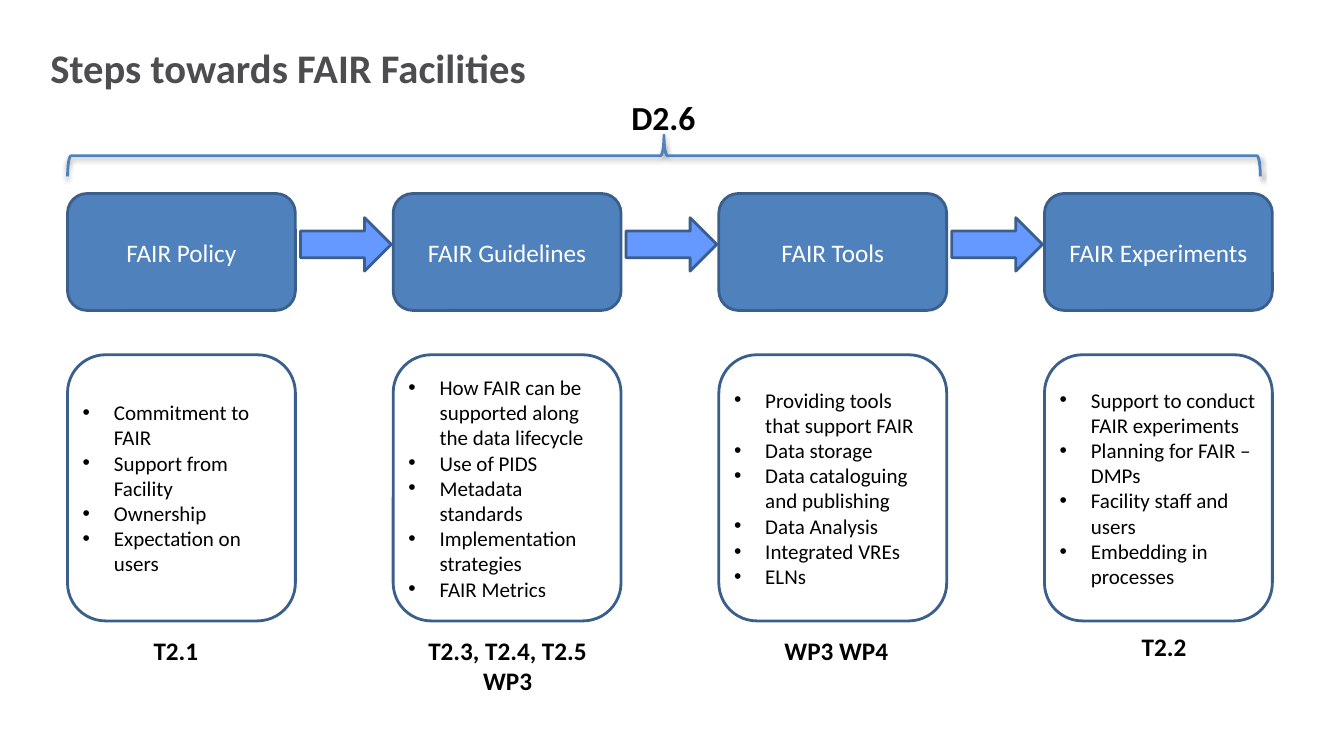
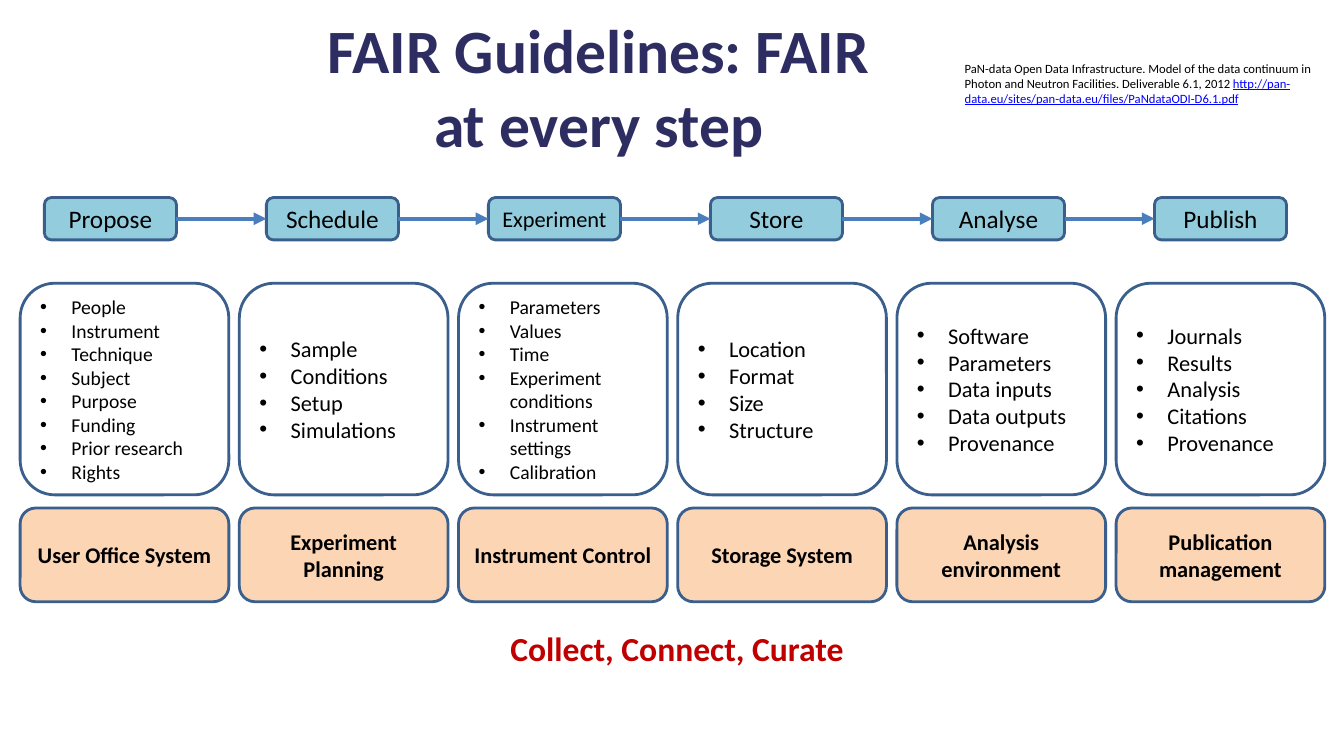
"""Build two slides on the steps towards FAIR facilities and FAIR guidelines."""
from itertools import pairwise

from lxml import etree
from pptx import Presentation
from pptx.dml.color import RGBColor
from pptx.enum.shapes import MSO_CONNECTOR, MSO_SHAPE
from pptx.enum.text import MSO_ANCHOR, MSO_AUTO_SIZE, PP_ALIGN
from pptx.oxml.ns import qn
from pptx.util import Inches, Pt

FONT = "Calibri"
BLACK = RGBColor(0x00, 0x00, 0x00)
WHITE = RGBColor(0xFF, 0xFF, 0xFF)
GREY = RGBColor(0x4C, 0x4D, 0x4F)
NAVY = RGBColor(0x2E, 0x2D, 0x62)
RED = RGBColor(0xC0, 0x00, 0x00)
LINK_BLUE = RGBColor(0x00, 0x00, 0xFF)
OUTLINE = RGBColor(0x3A, 0x5F, 0x8C)
STEP_BLUE = RGBColor(0x4F, 0x81, 0xBD)
ARROW_BLUE = RGBColor(0x66, 0x99, 0xFF)
CONNECTOR_BLUE = RGBColor(0x4B, 0x7E, 0xBC)
STAGE_AQUA = RGBColor(0x93, 0xCD, 0xDD)
SYSTEM_PEACH = RGBColor(0xFC, 0xD5, 0xB5)

STEPS_TITLE = "Steps towards FAIR Facilities"
DELIVERABLE = "D2.6"
STEPS = [
    ("FAIR Policy",
     ["Commitment to FAIR", "Support from Facility", "Ownership", "Expectation on users"],
     ["T2.1"], (1.28, 6.25, 0.93, 0.4)),
    ("FAIR Guidelines",
     ["How FAIR can be supported along the data lifecycle", "Use of PIDS",
      "Metadata standards", "Implementation strategies", "FAIR Metrics"],
     ["T2.3, T2.4, T2.5", "WP3"], (3.97, 6.25, 2.13, 0.71)),
    ("FAIR Tools",
     ["Providing tools that support FAIR", "Data storage",
      "Data cataloguing and publishing", "Data Analysis", "Integrated VREs", "ELNs"],
     ["WP3 WP4"], (7.48, 6.25, 1.63, 0.4)),
    ("FAIR Experiments",
     ["Support to conduct FAIR experiments", "Planning for FAIR – DMPs",
      "Facility staff and users", "Embedding in processes"],
     ["T2.2"], (10.93, 6.21, 1.23, 0.4)),
]

GUIDELINES_TITLE = "FAIR Guidelines: FAIR at every step"
CITATION = ("PaN-data Open Data Infrastructure. Model of the data continuum in "
            "Photon and Neutron Facilities. Deliverable 6.1, 2012 ")
CITATION_URL = "http://pan-data.eu/sites/pan-data.eu/files/PaNdataODI-D6.1.pdf"
MOTTO = "Collect, Connect, Curate"
STAGES = [
    ("Propose", 18, "User Office System", 14,
     ["People", "Instrument", "Technique", "Subject", "Purpose", "Funding",
      "Prior research", "Rights"]),
    ("Schedule", 18, "Experiment Planning", 16,
     ["Sample", "Conditions", "Setup", "Simulations"]),
    ("Experiment", 16, "Instrument Control", 14,
     ["Parameters", "Values", "Time", "Experiment conditions", "Instrument settings",
      "Calibration"]),
    ("Store", 18, "Storage System", 16,
     ["Location", "Format", "Size", "Structure"]),
    ("Analyse", 18, "Analysis environment", 16,
     ["Software", "Parameters", "Data inputs", "Data outputs", "Provenance"]),
    ("Publish", 18, "Publication management", 16,
     ["Journals", "Results", "Analysis", "Citations", "Provenance"]),
]


def add_run(paragraph, text, size, color, bold=False, underline=None):
    run = paragraph.add_run()
    run.text = text
    run.font.name = FONT
    run.font.size = Pt(size)
    run.font.bold = bold
    run.font.underline = underline
    run.font.color.rgb = color


def set_frame(frame, anchor, inset, wrap=True):
    frame.auto_size = MSO_AUTO_SIZE.NONE
    frame.word_wrap = wrap
    frame.vertical_anchor = anchor
    frame.margin_left = frame.margin_right = Inches(inset[0])
    frame.margin_top = frame.margin_bottom = Inches(inset[1])


def write(frame, lines, size, color, bold=False, align=PP_ALIGN.CENTER, bullets=False):
    for index, line in enumerate(lines):
        paragraph = frame.add_paragraph() if index else frame.paragraphs[0]
        paragraph.alignment = align
        if bullets:
            properties = paragraph._p.get_or_add_pPr()
            properties.set("marL", str(Inches(0.31)))
            properties.set("indent", str(-Inches(0.31)))
            etree.SubElement(properties, qn("a:buFont")).set("typeface", "Arial")
            etree.SubElement(properties, qn("a:buChar")).set("char", "•")
        add_run(paragraph, line, size, color, bold)


def add_titled_slide(deck, title, place, size, color, align, anchor, inset):
    slide = deck.slides.add_slide(deck.slide_layouts[5])
    heading = slide.shapes.title
    heading.left, heading.top, heading.width, heading.height = map(Inches, place)
    set_frame(heading.text_frame, anchor, inset)
    write(heading.text_frame, [title], size, color, True, align)
    return slide


def add_shape(slide, kind, place, fill=None, line=OUTLINE):
    shape = slide.shapes.add_shape(kind, *map(Inches, place))
    shape.shadow.inherit = False
    if fill is None:
        shape.fill.background()
    else:
        shape.fill.solid()
        shape.fill.fore_color.rgb = fill
    shape.line.color.rgb = line
    shape.line.width = Pt(2)
    return shape


def add_box(slide, place, fill, lines, size, color=BLACK, bold=False,
            bullets=False, inset=(0.1, 0.05)):
    box = add_shape(slide, MSO_SHAPE.ROUNDED_RECTANGLE, place, fill)
    set_frame(box.text_frame, MSO_ANCHOR.MIDDLE, inset)
    align = PP_ALIGN.LEFT if bullets else PP_ALIGN.CENTER
    write(box.text_frame, lines, size, color, bold, align, bullets)
    return box


def add_label(slide, place, lines, size, color=BLACK, wrap=True):
    label = slide.shapes.add_textbox(*map(Inches, place))
    set_frame(label.text_frame, MSO_ANCHOR.TOP, (0.1, 0.05), wrap)
    write(label.text_frame, lines, size, color, True)


def add_arrow(slide, start, end):
    arrow = slide.shapes.add_connector(MSO_CONNECTOR.STRAIGHT, 0, 0, 0, 0)
    arrow.begin_connect(start, 3)
    arrow.end_connect(end, 1)
    arrow.line.color.rgb = CONNECTOR_BLUE
    arrow.line.width = Pt(3)
    etree.SubElement(arrow.line._get_or_add_ln(), qn("a:tailEnd")).set("type", "triangle")
    etree.SubElement(arrow._element.spPr, qn("a:effectLst"))


def add_brace(slide):
    brace = add_shape(slide, MSO_SHAPE.LEFT_BRACE, (6.38, -4.37, 0.41, 11.83), line=STEP_BLUE)
    brace.rotation = 90
    effects = brace._element.spPr.find(qn("a:effectLst"))
    shadow = etree.SubElement(effects, qn("a:outerShdw"), blurRad=str(Pt(3.1)),
                              dist=str(Pt(1.6)), dir="5400000", rotWithShape="0")
    tone = etree.SubElement(shadow, qn("a:srgbClr"), val=str(BLACK))
    etree.SubElement(tone, qn("a:alpha"), val="38000")


def build_steps(deck):
    slide = add_titled_slide(deck, STEPS_TITLE, (0.5, 0.42, 7.99, 0.49), 29, GREY,
                             PP_ALIGN.LEFT, MSO_ANCHOR.MIDDLE, (0, 0))
    left, pitch, width, inset = 0.67, 3.23, 2.26, (0.04, 0.05)
    for index, (step, points, tasks, tasks_place) in enumerate(STEPS):
        x = left + index * pitch
        if index:
            add_shape(slide, MSO_SHAPE.RIGHT_ARROW, (x - 0.92, 2.16, 0.9, 0.53), ARROW_BLUE)
        add_box(slide, (x, 1.92, width, 1.16), STEP_BLUE, [step], 18, WHITE, inset=inset)
        add_box(slide, (x, 3.52, width, 2.64), WHITE, points, 15, bullets=True, inset=inset)
        add_label(slide, tasks_place, tasks, 18)
    add_brace(slide)
    add_label(slide, (6.16, 0.91, 0.84, 0.5), [DELIVERABLE], 24, wrap=False)


def build_guidelines(deck):
    slide = add_titled_slide(deck, GUIDELINES_TITLE, (2.91, 0.07, 6.06, 0.84), 44, NAVY,
                             PP_ALIGN.CENTER, MSO_ANCHOR.TOP, (0.1, 0.05))
    citation = slide.shapes.add_textbox(*map(Inches, (9.47, 0.5, 3.87, 0.91)))
    set_frame(citation.text_frame, MSO_ANCHOR.TOP, (0.1, 0.1))
    reference = citation.text_frame.paragraphs[0]
    add_run(reference, CITATION, 9, BLACK)
    add_run(reference, CITATION_URL, 9, LINK_BLUE, underline=True)

    stage_boxes = []
    for index, (stage, stage_size, system, points_size, points) in enumerate(STAGES):
        x = 0.2 + index * 10.87 / 5
        stage_x = 0.44 + index * 11.01 / 5
        stage_inset = (0.06, 0.05) if stage_size == 16 else (0.1, 0.05)
        stage_boxes.append(add_box(slide, (stage_x, 1.96, 1.31, 0.42), STAGE_AQUA,
                                   [stage], stage_size, inset=stage_inset))
        add_box(slide, (x, 2.81, 2.07, 2.1), WHITE, points, points_size, bullets=True)
        add_box(slide, (x, 5.04, 2.07, 0.93), SYSTEM_PEACH, [system], 16, bold=True)
    for start, end in pairwise(stage_boxes):
        add_arrow(slide, start, end)
    add_label(slide, (3.42, 6.18, 6.59, 0.5), [MOTTO], 24, RED)


def main():
    deck = Presentation()
    deck.slide_width, deck.slide_height = Inches(13.33), Inches(7.5)
    build_steps(deck)
    build_guidelines(deck)
    deck.save("out.pptx")


if __name__ == "__main__":
    main()
